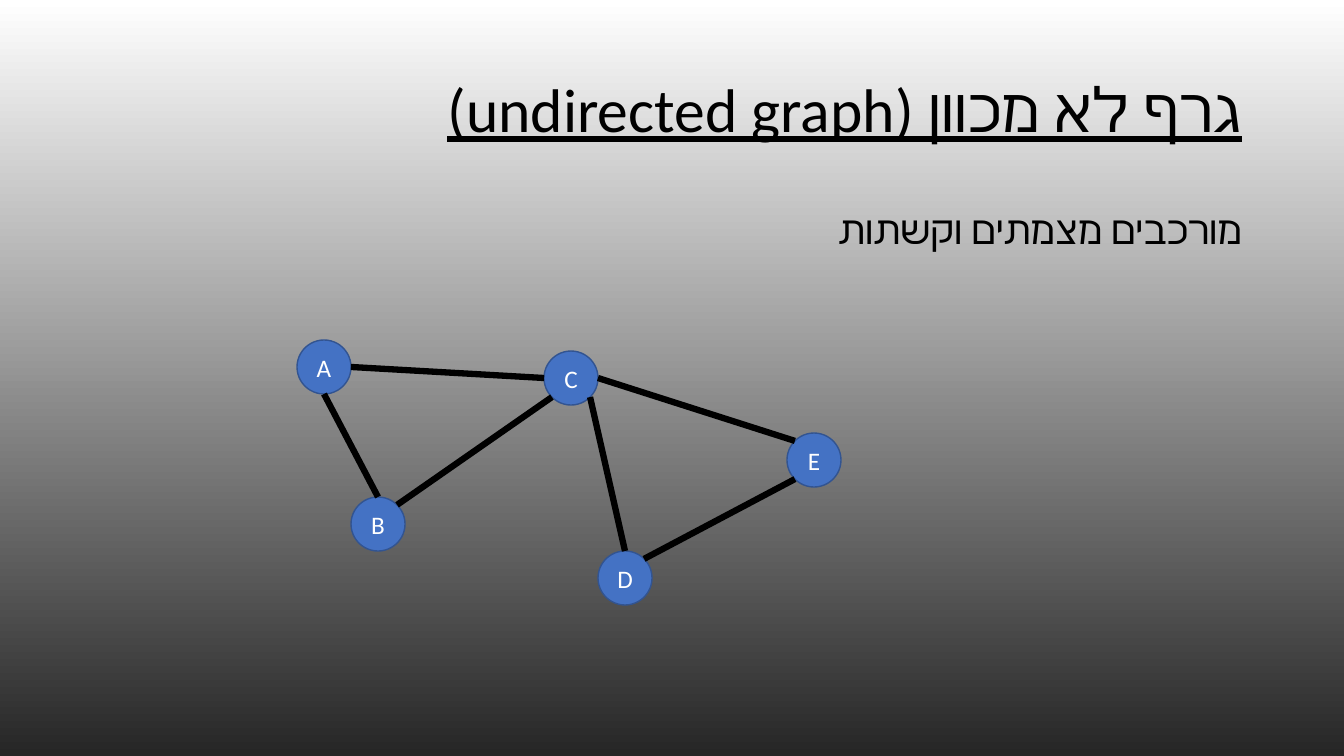
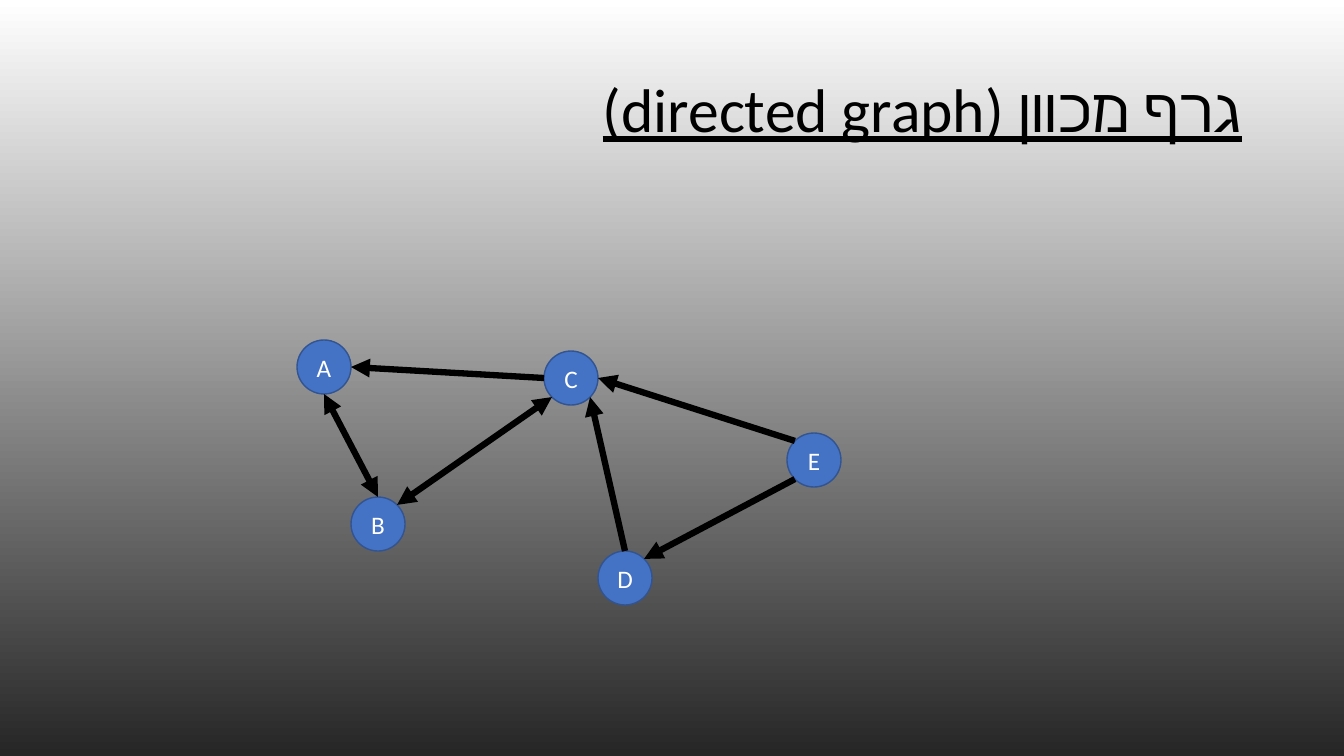
"""Build two slides that compare an undirected and a directed graph."""
from math import cos, radians, sin

from lxml import etree
from pptx import Presentation
from pptx.dml.color import RGBColor
from pptx.enum.shapes import MSO_CONNECTOR, MSO_SHAPE
from pptx.enum.text import MSO_ANCHOR, MSO_AUTO_SIZE, PP_ALIGN
from pptx.oxml.ns import qn
from pptx.util import Pt

OVAL, STRAIGHT = MSO_SHAPE.OVAL, MSO_CONNECTOR.STRAIGHT
TOP, MIDDLE = MSO_ANCHOR.TOP, MSO_ANCHOR.MIDDLE
RIGHT, CENTER = PP_ALIGN.RIGHT, PP_ALIGN.CENTER
NO_AUTOFIT = MSO_AUTO_SIZE.NONE

PX = 12192000 / 1344
SLIDE_W, SLIDE_H = 1344, 756
CONTENT_LAYOUT, TITLE_LAYOUT = 1, 5
FONT = "Calibri"
BLACK, WHITE, BLUE, NAVY, CHARCOAL = "000000", "FFFFFF", "4472C4", "325491", "262626"

SLIDES = [
    {"title": "גרף לא מכוון (undirected graph)",
     "body": "מורכבים מצמתים וקשתות", "directed": False},
    {"title": "גרף מכוון (directed graph)", "body": None, "directed": True},
]

NODE_SIZE = 54
NODES = {"B": (351, 497), "D": (598, 551), "C": (544, 351),
         "E": (787, 433), "A": (297, 340)}
SITES = ["top", "top left", "left", "bottom left",
         "bottom", "bottom right", "right", "top right"]
EDGES = [
    ("A", "right", "C", "left", ["headEnd"]),
    ("B", "top right", "C", "bottom left", ["headEnd", "tailEnd"]),
    ("A", "bottom", "B", "top", ["headEnd", "tailEnd"]),
    ("C", "right", "E", "top left", ["headEnd"]),
    ("D", "top right", "E", "bottom left", ["headEnd"]),
    ("C", "bottom right", "D", "top", ["headEnd"]),
]

TITLE = {
    "box": (93, 40, 1159, 146),
    "frame": {"word_wrap": True, "auto_size": NO_AUTOFIT, "vertical_anchor": MIDDLE},
    "paragraph": {"alignment": RIGHT, "line_spacing": 0.9, "space_before": Pt(0)},
    "font": {"size": Pt(44), "name": FONT, "underline": True},
}
BODY = {
    "box": (93, 206, 1159, 480),
    "frame": {"word_wrap": True, "auto_size": NO_AUTOFIT, "vertical_anchor": TOP},
    "paragraph": {"alignment": RIGHT, "line_spacing": 0.9, "space_before": Pt(10)},
    "font": {"size": Pt(28), "name": FONT},
}
LABEL = {
    "frame": {"vertical_anchor": MIDDLE},
    "paragraph": {"alignment": CENTER},
    "font": {"size": Pt(18), "name": FONT},
}


def px(*lengths):
    return [round(n * PX) for n in lengths]


def rgb(value):
    return RGBColor.from_string(value)


def apply(target, values):
    for name, value in values.items():
        setattr(target, name, value)


def write(sp, text, style, color):
    tf = sp.text_frame
    apply(tf, style["frame"])
    p = tf.paragraphs[0]
    apply(p, style["paragraph"])
    r = p.add_run()
    r.text = text
    apply(r.font, style["font"])
    r.font.color.rgb = rgb(color)
    return p, r


def fill_placeholder(sp, text, style):
    sp.left, sp.top, sp.width, sp.height = px(*style["box"])
    p, r = write(sp, text, style, BLACK)
    pPr = p._p.get_or_add_pPr()
    for name, value in {"rtl": "1", "marL": "0", "marR": "0", "indent": "0"}.items():
        pPr.set(name, value)
    etree.SubElement(pPr, qn("a:buNone"))
    etree.SubElement(r._r.get_or_add_rPr(), qn("a:cs"), typeface=FONT)


def add_node(shapes, name):
    sp = shapes.add_shape(OVAL, *px(*NODES[name], NODE_SIZE, NODE_SIZE))
    sp.shadow.inherit = False
    sp.fill.solid()
    sp.fill.fore_color.rgb = rgb(BLUE)
    sp.line.color.rgb = rgb(NAVY)
    sp.line.width = Pt(1)
    write(sp, name, LABEL, WHITE)
    return sp


def site_point(name, site):
    angle = radians(90 + 45 * SITES.index(site))
    left, top = NODES[name]
    radius = NODE_SIZE / 2
    return px(left + radius + radius * cos(angle), top + radius - radius * sin(angle))


def add_edge(shapes, nodes, edge, directed):
    start, start_site, end, end_site, arrows = edge
    line = shapes.add_connector(STRAIGHT, *site_point(start, start_site),
                                *site_point(end, end_site))
    line.line.color.rgb = rgb(BLACK)
    line.line.width = Pt(4.5)
    etree.SubElement(line._element.spPr, qn("a:effectLst"))
    links = line._element.nvCxnSpPr.cNvCxnSpPr
    for tag, name, site in [("a:stCxn", start, start_site), ("a:endCxn", end, end_site)]:
        etree.SubElement(links, qn(tag), id=str(nodes[name].shape_id),
                         idx=str(SITES.index(site)))
    if directed:
        for tag in arrows:
            etree.SubElement(line.line._get_or_add_ln(), qn(f"a:{tag}"), type="triangle")


def add_graph(s, directed):
    shapes = s.shapes.add_group_shape().shapes
    nodes = {name: add_node(shapes, name) for name in NODES}
    for edge in EDGES:
        add_edge(shapes, nodes, edge, directed)


def set_background(master):
    fill = master.background.fill
    fill.gradient()
    fill.gradient_angle = 270
    for stop, color in zip(fill.gradient_stops, [WHITE, CHARCOAL]):
        stop.color.rgb = rgb(color)


def main():
    prs = Presentation()
    prs.slide_width, prs.slide_height = px(SLIDE_W, SLIDE_H)
    set_background(prs.slide_master)
    for content in SLIDES:
        layout = CONTENT_LAYOUT if content["body"] else TITLE_LAYOUT
        s = prs.slides.add_slide(prs.slide_layouts[layout])
        fill_placeholder(s.shapes.title, content["title"], TITLE)
        if content["body"]:
            fill_placeholder(s.placeholders[1], content["body"], BODY)
        add_graph(s, content["directed"])
    prs.save("out.pptx")


if __name__ == "__main__":
    main()
